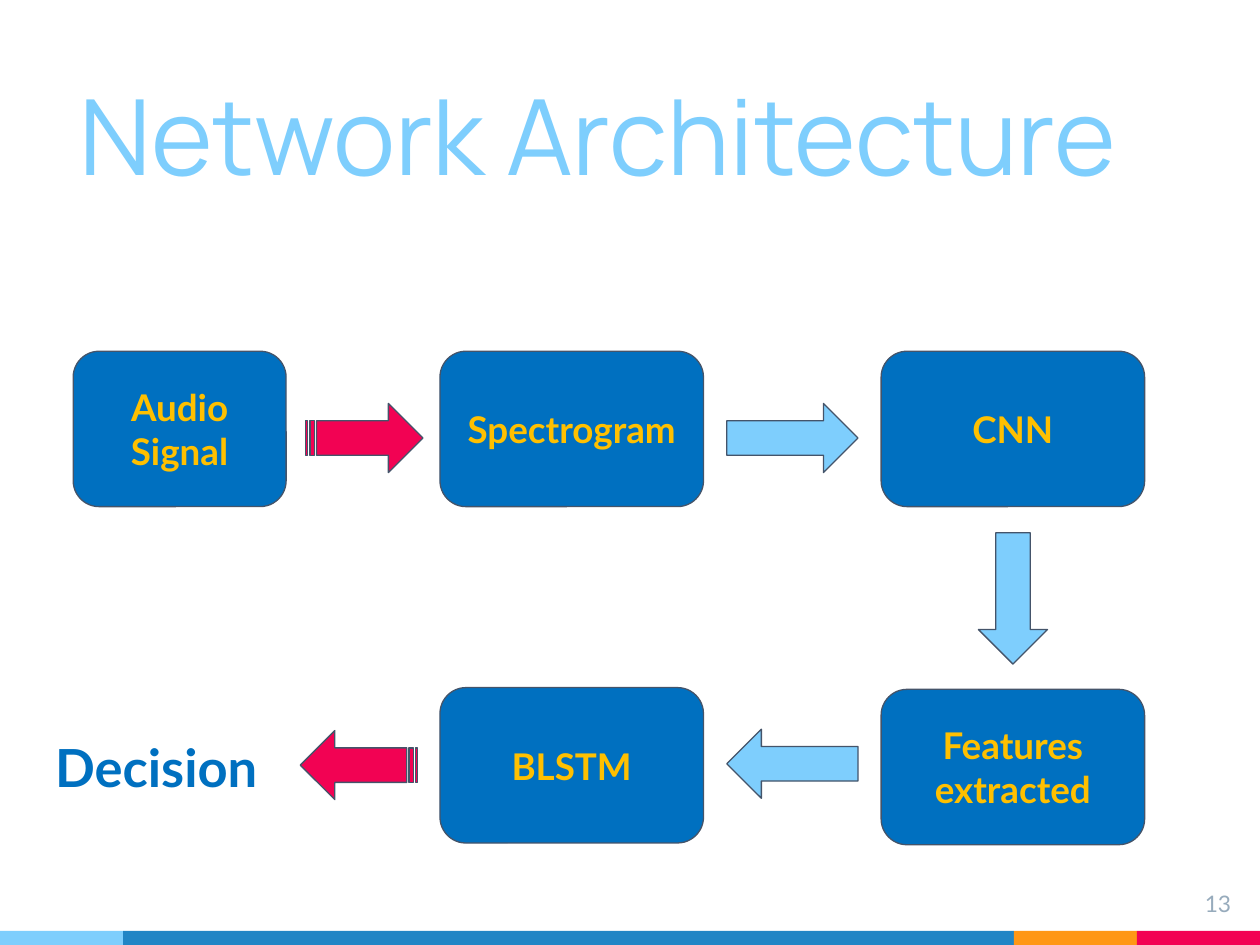
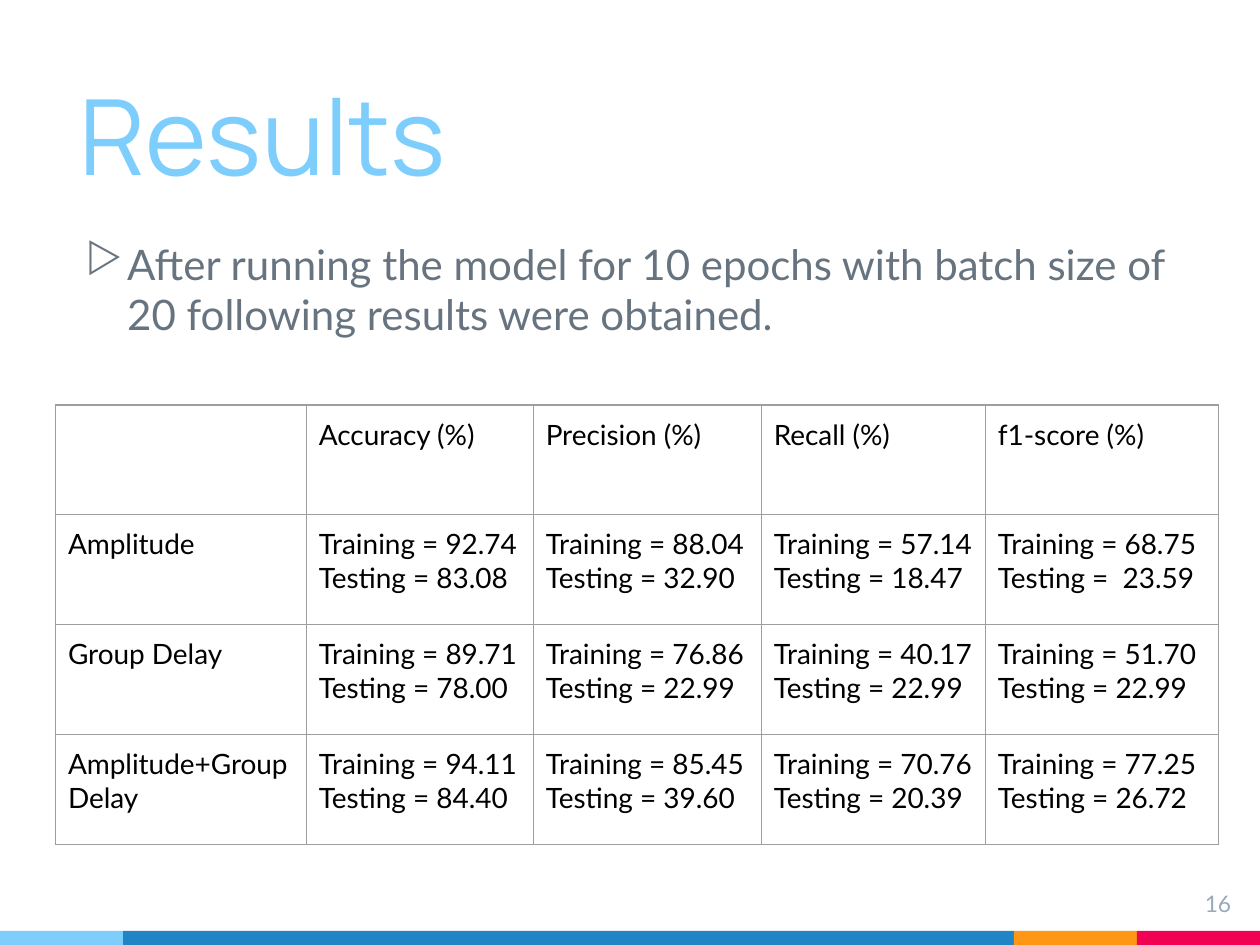
"""Build two slides on an audio classification network: its architecture and its results."""
import pptx
import pptx.dml.color
import pptx.enum.shapes
import pptx.enum.text
import pptx.oxml
import pptx.oxml.ns
import pptx.util
from pptx.util import Pt

SHAPES = pptx.enum.shapes.MSO_SHAPE
ALIGN = pptx.enum.text.PP_ALIGN
ANCHOR = pptx.enum.text.MSO_ANCHOR

SKY, BLUE, ORANGE, PINK = "7ECEFD", "2185C5", "FF9715", "F20253"
BOX_BLUE, BOX_TEXT, OUTLINE = "0070C0", "FFC000", "44546A"
BODY_GREY, NUMBER_GREY, GRID_GREY, BLACK = "677480", "97ABBC", "9E9E9E", "000000"
BODY_FONT, TITLE_FONT = "Lato", "Manrope"
INSET = 7.2

BAND_TOP, BAND_HEIGHT = 532, 8
BANDS = [(0, 70.4, SKY), (70.4, 509, BLUE), (579.4, 70.3, ORANGE), (649.7, 70.3, PINK)]

BOX_HEIGHT = 88.8
COLUMNS = {"left": (41.8, 121.7), "middle": (251.4, 150.6), "right": (503.5, 150.6)}
BOXES = [
    ("Audio Signal", "left", 200.7),
    ("Spectrogram", "middle", 200.7),
    ("CNN", "right", 200.7),
    ("Features extracted", "right", 393.9),
    ("BLSTM", "middle", 392.9),
]
STRIPED = (SHAPES.STRIPED_RIGHT_ARROW, 67, PINK)
PLAIN = (SHAPES.RIGHT_ARROW, 75, SKY)
ARROW_HEIGHT = 39.5
ARROWS = [
    (STRIPED, 208.2, 250.3, 0),
    (PLAIN, 452.8, 250.3, 0),
    (PLAIN, 578.8, 342, 90),
    (PLAIN, 452.8, 436.4, 180),
    (STRIPED, 205.1, 437.2, 180),
]

FINDING = ("After running the model for 10 epochs with batch size of "
           "20 following results were obtained.")
MEASURES = ["Accuracy (%)", "Precision (%)", "Recall (%)", "f1-score (%)"]
RESULTS = {
    "Amplitude": [("92.74", "83.08"), ("88.04", "32.90"),
                  ("57.14", "18.47"), ("68.75", " 23.59")],
    "Group Delay": [("89.71", "78.00"), ("76.86", "22.99"),
                    ("40.17", "22.99"), ("51.70", "22.99")],
    "Amplitude+Group Delay": [("94.11", "84.40"), ("85.45", "39.60"),
                              ("70.76", "20.39"), ("77.25", "26.72")],
}
TABLE_LEFT, TABLE_TOP, ROW_HEIGHT = 31.7, 231.4, 62.8
COLUMN_WIDTHS = [143.3, 129.7, 130.3, 128.1, 133.2]


def color(hex_code):
    return pptx.dml.color.RGBColor.from_string(hex_code)


def style(paragraph, size, hex_code, name=BODY_FONT, bold=False, align=ALIGN.LEFT):
    paragraph.alignment = align
    font = paragraph.font
    font.size, font.name, font.bold = Pt(size), name, bold
    font.color.rgb = color(hex_code)


def set_insets(target):
    target.margin_left = target.margin_right = Pt(INSET)
    target.margin_top = target.margin_bottom = Pt(INSET)


def add_shape(slide, kind, left, top, width, height, fill, line=None):
    shape = slide.shapes.add_shape(kind, Pt(left), Pt(top), Pt(width), Pt(height))
    shape.shadow.inherit = False
    shape.fill.solid()
    shape.fill.fore_color.rgb = color(fill)
    if line:
        shape.line.color.rgb = color(line)
        shape.line.width = Pt(0.75)
    else:
        shape.line.fill.background()
    return shape


def add_text(slide, text, left, top, width, height):
    frame = slide.shapes.add_textbox(Pt(left), Pt(top), Pt(width), Pt(height)).text_frame
    frame.word_wrap = True
    set_insets(frame)
    frame.text = text
    return frame.paragraphs[0]


def add_slide(presentation, title_text, number):
    slide = presentation.slides.add_slide(presentation.slide_layouts[5])
    for left, width, fill in BANDS:
        add_shape(slide, SHAPES.RECTANGLE, left, BAND_TOP, width, BAND_HEIGHT, fill)
    title = slide.shapes.title
    title.left, title.top, title.width, title.height = Pt(38.2), Pt(31), Pt(637.2), Pt(88.6)
    frame = title.text_frame
    frame.text = title_text
    frame.auto_size = pptx.enum.text.MSO_AUTO_SIZE.NONE
    frame.vertical_anchor = ANCHOR.BOTTOM
    set_insets(frame)
    style(frame.paragraphs[0], 60, SKY, TITLE_FONT)
    page = add_text(slide, str(number), 667.4, 501.1, 43.2, 33.1)
    style(page, 13, NUMBER_GREY, align=ALIGN.RIGHT)
    return slide


def add_architecture(slide):
    for text, column, top in BOXES:
        left, width = COLUMNS[column]
        box = add_shape(slide, SHAPES.ROUNDED_RECTANGLE, left, top, width, BOX_HEIGHT,
                        BOX_BLUE, OUTLINE)
        frame = box.text_frame
        frame.text = text
        frame.word_wrap = True
        frame.vertical_anchor = ANCHOR.MIDDLE
        set_insets(frame)
        style(frame.paragraphs[0], 21, BOX_TEXT, bold=True, align=ALIGN.CENTER)
    for (kind, length, fill), center_x, center_y, rotation in ARROWS:
        arrow = add_shape(slide, kind, center_x - length / 2, center_y - ARROW_HEIGHT / 2,
                          length, ARROW_HEIGHT, fill, OUTLINE)
        arrow.rotation = rotation
    decision = add_text(slide, "Decision", 20.2, 412.6, 138.2, 51.1)
    style(decision, 30, BOX_BLUE, bold=True, align=ALIGN.CENTER)


def add_bullet(paragraph, symbol, hex_code):
    namespace = pptx.oxml.ns.nsdecls("a")
    properties = paragraph._p.get_or_add_pPr()
    properties.set("marL", str(Pt(27.4)))
    properties.set("indent", str(Pt(-23.8)))
    for xml in (f'<a:buClr {namespace}><a:srgbClr val="{hex_code}"/></a:buClr>',
                f'<a:buChar {namespace} char="{symbol}"/>'):
        properties.append(pptx.oxml.parse_xml(xml))


def add_borders(cell):
    properties = cell._tc.get_or_add_tcPr()
    for position, side in enumerate("LRTB"):
        properties.insert(position, pptx.oxml.parse_xml(
            f'<a:ln{side} {pptx.oxml.ns.nsdecls("a")} w="{Pt(0.75)}"><a:solidFill>'
            f'<a:srgbClr val="{GRID_GREY}"/></a:solidFill></a:ln{side}>'))


def add_results(slide):
    finding = add_text(slide, FINDING, 38.2, 128.9, 651.6, 372.2)
    add_bullet(finding, "▷", BODY_GREY)
    finding.space_before = Pt(6)
    style(finding, 24, BODY_GREY)

    rows = [["", *MEASURES]]
    for feature, scores in RESULTS.items():
        rows.append([feature, *(f"Training = {training}\nTesting = {testing}"
                                for training, testing in scores)])
    table = slide.shapes.add_table(
        len(rows), len(COLUMN_WIDTHS), Pt(TABLE_LEFT), Pt(TABLE_TOP),
        Pt(sum(COLUMN_WIDTHS)), Pt(ROW_HEIGHT * len(rows))).table
    table.first_row = table.horz_banding = False
    for column, width in zip(table.columns, COLUMN_WIDTHS):
        column.width = Pt(width)
    for row, texts in zip(table.rows, rows):
        row.height = Pt(ROW_HEIGHT)
        for cell, text in zip(row.cells, texts):
            cell.text = text
            set_insets(cell)
            cell.fill.background()
            add_borders(cell)
            for paragraph in cell.text_frame.paragraphs:
                style(paragraph, 16, BLACK)


def main():
    presentation = pptx.Presentation()
    presentation.slide_width, presentation.slide_height = Pt(720), Pt(540)
    add_architecture(add_slide(presentation, "Network Architecture", 13))
    add_results(add_slide(presentation, "Results", 16))
    presentation.save("out.pptx")


if __name__ == "__main__":
    main()
